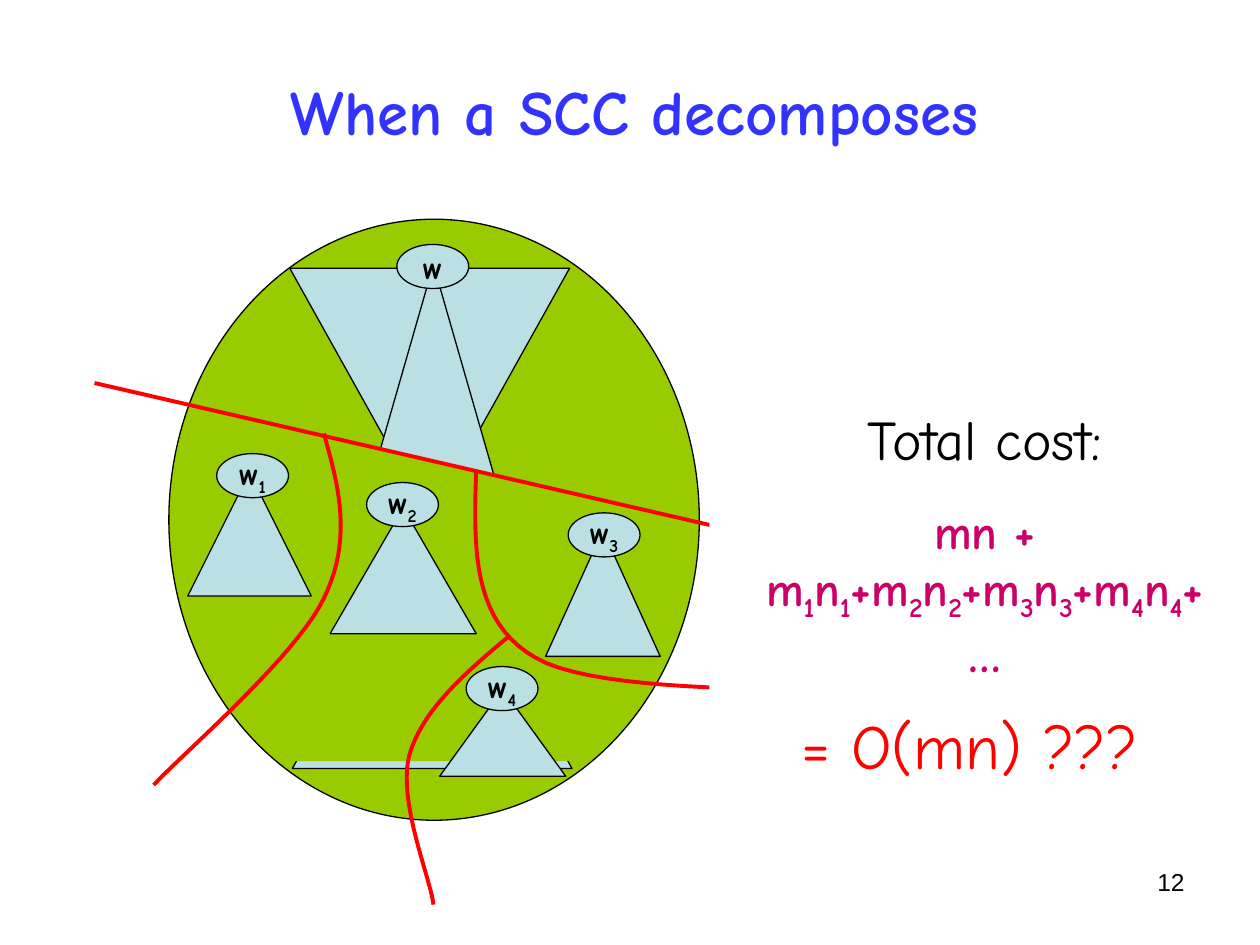
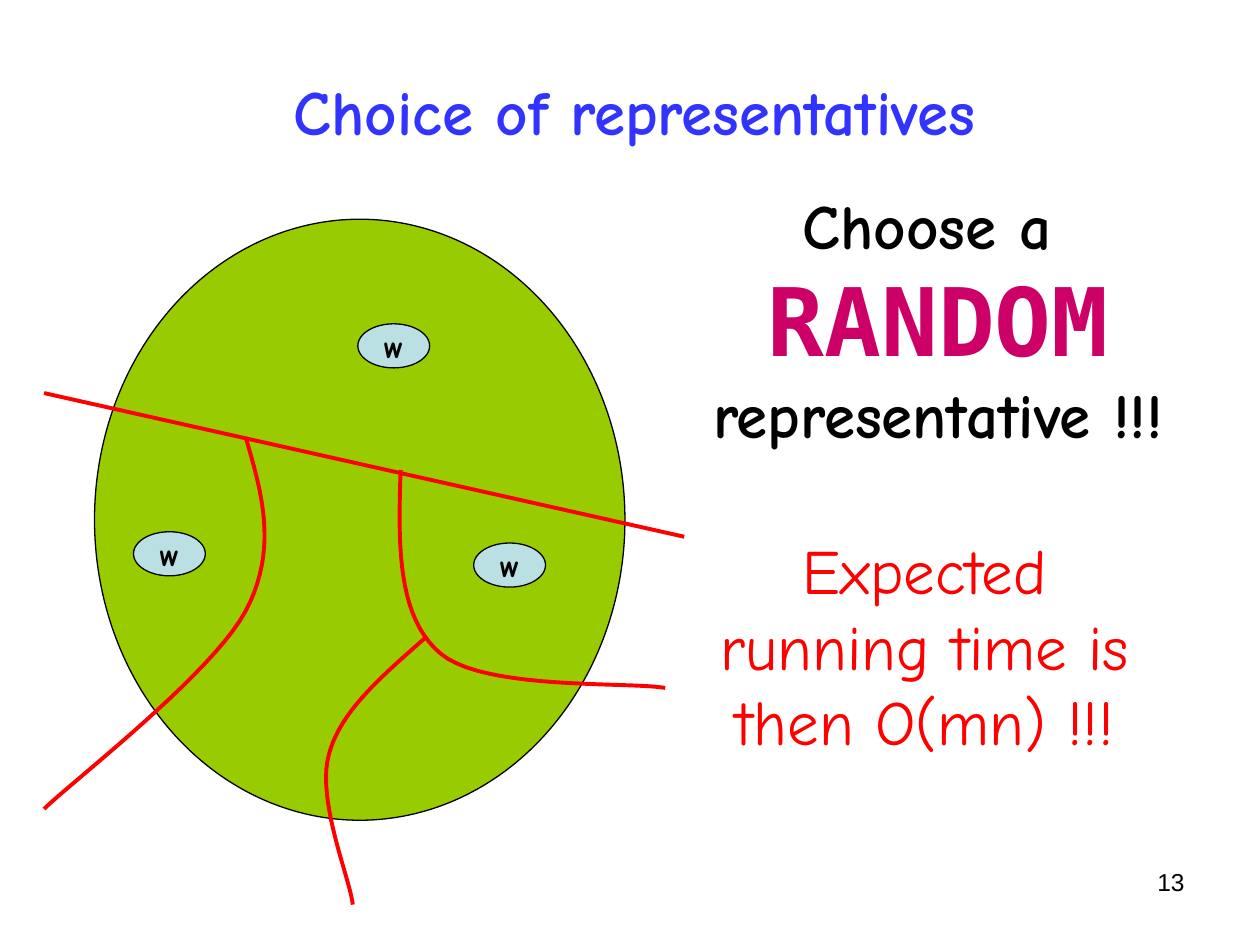
from dataclasses import dataclass

from lxml import etree
from pptx import Presentation
from pptx.dml.color import RGBColor
from pptx.enum.shapes import MSO_CONNECTOR, MSO_SHAPE
from pptx.enum.text import MSO_ANCHOR, PP_ALIGN
from pptx.oxml.ns import qn
from pptx.util import Inches, Pt

TRIANGLE = MSO_SHAPE.ISOSCELES_TRIANGLE
OVAL = MSO_SHAPE.OVAL
STRAIGHT = MSO_CONNECTOR.STRAIGHT
TOP, MIDDLE = MSO_ANCHOR.TOP, MSO_ANCHOR.MIDDLE
LEFT, CENTER, RIGHT = PP_ALIGN.LEFT, PP_ALIGN.CENTER, PP_ALIGN.RIGHT

BLUE = RGBColor(0x33, 0x33, 0xFF)
GREEN = RGBColor(0x99, 0xCC, 0x00)
PALE = RGBColor(0xBB, 0xE0, 0xE3)
RED = RGBColor(0xFF, 0x00, 0x00)
CRIMSON = RGBColor(0xCC, 0x00, 0x66)
BLACK = RGBColor(0x00, 0x00, 0x00)
WHITE = RGBColor(0xFF, 0xFF, 0xFF)

HAND = "Comic Neue"
MONO = "DejaVu Sans Mono"
SANS = "Arial"
VERTEX_WIDTH, VERTEX_HEIGHT = 0.57, 0.35
CUT_WIDTH = Pt(2.25)
CURVE_STEPS = 20

Point = tuple[float, float]


@dataclass(frozen=True)
class Box:
    left: float
    top: float
    width: float
    height: float

    def lengths(self):
        return [Inches(v) for v in (self.left, self.top, self.width, self.height)]


@dataclass(frozen=True)
class Vertex:
    label: str
    left: float
    top: float


@dataclass(frozen=True)
class Cut:
    points: tuple[Point, ...]


TITLE_BOX = Box(0.43, 0.25, 9.21, 1.25)
NUMBER_BOX = Box(7.17, 6.83, 2.33, 0.52)

ROOT = Vertex("w", 3.15, 1.94)
ROOT_TREES = ((Box(2.32, 4.11, 2.22, 1.99), False),
              (Box(2.3, 2.13, 2.22, 1.99), True),
              (Box(2.32, 2.1, 2.24, 3.9), False))
LOWER_REGION = ((2.05, 3.36), (2.24, 6.04), (4.64, 6.04), (4.84, 3.99))
PART_TREES = ((Vertex("w_1", 1.72, 3.6), Box(1.49, 3.75, 0.98, 0.98)),
              (Vertex("w_2", 2.91, 3.83), Box(2.62, 4.03, 1.16, 1)),
              (Vertex("w_3", 4.51, 4.07), Box(4.33, 4.21, 0.91, 1)),
              (Vertex("w_4", 3.7, 5.29), Box(3.49, 5.47, 1, 0.69)))
DECOMPOSITION_CUTS = (
    Cut(((2.57, 3.44), (2.69, 3.86), (2.8, 4.28), (2.57, 4.75),
         (2.35, 5.21), (1.43, 6), (1.22, 6.23))),
    Cut(((3.78, 3.73), (3.76, 4.33), (3.74, 4.93), (4.25, 5.22),
         (4.76, 5.52), (6.42, 5.45), (6.85, 5.5))),
    Cut(((4.04, 5.05), (3.69, 5.34), (3.35, 5.64), (3.25, 5.99),
         (3.15, 6.35), (3.42, 6.98), (3.44, 7.18))),
    Cut(((0.75, 3.04), (6.73, 4.42))),
)
REPRESENTATIVES = (Vertex("w", 2.84, 2.57), Vertex("w", 3.76, 4.31),
                   Vertex("w", 1.06, 4.22))
CHOICE_CUTS = (
    Cut(((1.95, 3.47), (2.08, 3.91), (2.21, 4.36), (1.95, 4.85),
         (1.68, 5.35), (0.6, 6.18), (0.35, 6.42))),
    Cut(((3.18, 3.73), (3.16, 4.32), (3.15, 4.9), (3.5, 5.19),
         (3.85, 5.48), (4.98, 5.41), (5.28, 5.46))),
    Cut(((3.39, 5.05), (3.05, 5.35), (2.7, 5.64), (2.61, 5.99),
         (2.51, 6.35), (2.78, 6.98), (2.8, 7.18))),
    Cut(((0.35, 3.12), (5.43, 4.26))),
)


def write(paragraph, text: str, *, size: float, color: RGBColor = BLACK,
          bold: bool = False, font: str = HAND) -> None:
    """Add text; an underscore lowers the character that follows it."""

    def add(piece: str, lowered: bool) -> None:
        if not piece:
            return
        run = paragraph.add_run()
        run.text = piece
        run.font.size = Pt(size)
        run.font.name = font
        run.font.bold = bold
        run.font.color.rgb = color
        if lowered:
            run._r.get_or_add_rPr().set("baseline", "-25000")

    for row, line in enumerate(text.split("\n")):
        if row:
            paragraph.add_line_break()
        first, *rest = line.split("_")
        add(first, False)
        for piece in rest:
            add(piece[:1], True)
            add(piece[1:], False)


def add_text_area(slide, box: Box, *, align=CENTER, anchor=TOP,
                  before: float = 0, fill: RGBColor | None = None):
    area = slide.shapes.add_textbox(*box.lengths())
    if fill is not None:
        area.fill.solid()
        area.fill.fore_color.rgb = fill
    frame = area.text_frame
    frame.word_wrap = True
    frame.vertical_anchor = anchor
    paragraph = frame.paragraphs[0]
    paragraph.alignment = align
    paragraph.space_before = Pt(before)
    return frame


def add_outlined(slide, kind, box: Box, fill: RGBColor):
    shape = slide.shapes.add_shape(kind, *box.lengths())
    shape.shadow.inherit = False
    shape.fill.solid()
    shape.fill.fore_color.rgb = fill
    shape.line.color.rgb = BLACK
    shape.line.width = Pt(0.75)
    return shape


def add_tree(slide, box: Box, inverted: bool = False) -> None:
    tree = add_outlined(slide, TRIANGLE, box, PALE)
    if inverted:
        tree._element.spPr.find(qn("a:xfrm")).set("flipV", "1")


def add_vertex(slide, vertex: Vertex) -> None:
    box = Box(vertex.left, vertex.top, VERTEX_WIDTH, VERTEX_HEIGHT)
    frame = add_outlined(slide, OVAL, box, PALE).text_frame
    frame.word_wrap = False
    frame.vertical_anchor = MIDDLE
    frame.paragraphs[0].alignment = CENTER
    write(frame.paragraphs[0], vertex.label, size=18, bold=True)


def add_outline(slide, points, closed: bool):
    start, *others = [(Inches(x), Inches(y)) for x, y in points]
    builder = slide.shapes.build_freeform(*start)
    builder.add_line_segments(others, close=closed)
    outline = builder.convert_to_shape()
    outline.shadow.inherit = False
    return outline


def curve_points(controls: tuple[Point, ...]) -> list[Point]:
    points = [controls[0]]
    for start in range(0, len(controls) - 1, 3):
        segment = controls[start:start + 4]
        for step in range(1, CURVE_STEPS + 1):
            t = step / CURVE_STEPS
            u = 1 - t
            weights = (u ** 3, 3 * u * u * t, 3 * u * t * t, t ** 3)
            points.append(tuple(sum(w * p[axis] for w, p in zip(weights, segment))
                                for axis in (0, 1)))
    return points


def add_cut(slide, cut: Cut) -> None:
    if len(cut.points) == 2:
        ends = [Inches(v) for point in cut.points for v in point]
        border = slide.shapes.add_connector(STRAIGHT, *ends)
        etree.SubElement(border._element.spPr, qn("a:effectLst"))
    else:
        border = add_outline(slide, curve_points(cut.points), closed=False)
        border.fill.background()
    border.line.color.rgb = RED
    border.line.width = CUT_WIDTH


def add_component_slide(deck, title: str, component_left: float):
    slide = deck.slides.add_slide(deck.slide_layouts[6])
    heading = add_text_area(slide, TITLE_BOX, anchor=MIDDLE)
    write(heading.paragraphs[0], title, size=36, color=BLUE, bold=True)
    add_outlined(slide, OVAL, Box(component_left, 1.74, 4.21, 4.77), GREEN)
    return slide


def add_number(slide, number: int) -> None:
    frame = add_text_area(slide, NUMBER_BOX, align=RIGHT)
    write(frame.paragraphs[0], str(number), size=14, font=SANS)


def build_decomposition(deck) -> None:
    slide = add_component_slide(deck, "When a SCC decomposes", 1.34)
    for box, inverted in ROOT_TREES:
        add_tree(slide, box, inverted)
    add_vertex(slide, ROOT)
    region = add_outline(slide, LOWER_REGION, closed=True)
    region.fill.solid()
    region.fill.fore_color.rgb = GREEN
    region.line.fill.background()
    for cut in DECOMPOSITION_CUTS:
        add_cut(slide, cut)
    for vertex, box in PART_TREES:
        add_tree(slide, box)
        add_vertex(slide, vertex)

    cost = add_text_area(slide, Box(5.63, 3.16, 4.37, 3.02), before=20, fill=WHITE)
    write(cost.paragraphs[0], "Total cost:", size=32)
    total = cost.add_paragraph()
    total.alignment = CENTER
    total.space_before = Pt(17.5)
    terms = "+".join(f"m_{i}n_{i}" for i in range(1, 5))
    write(total, f"mn +\n{terms}+\n", size=27, color=CRIMSON, bold=True)
    write(total, "…", size=28, color=CRIMSON, bold=True)

    bound = add_text_area(slide, Box(6.26, 5.56, 2.99, 0.7), align=LEFT, before=22.5)
    write(bound.paragraphs[0], "= O(mn) ???", size=36, color=RED)
    add_number(slide, 12)


def build_choice(deck) -> None:
    slide = add_component_slide(deck, "Choice of representatives", 0.75)
    for cut in CHOICE_CUTS:
        add_cut(slide, cut)
    for vertex in REPRESENTATIVES:
        add_vertex(slide, vertex)

    advice = add_text_area(slide, Box(5.12, 1.43, 4.65, 2.2), before=22.5, fill=WHITE)
    line = advice.paragraphs[0]
    write(line, "Choose a \n", size=36, bold=True)
    write(line, "RANDOM", size=54, color=CRIMSON, bold=True, font=MONO)
    write(line, " ", size=36, bold=True, font=MONO)
    write(line, "representative !!!", size=36, bold=True)

    result = add_text_area(slide, Box(5.51, 4.17, 3.66, 1.9), before=22.5)
    write(result.paragraphs[0], "Expected running time is then O(mn) !!!",
          size=36, color=RED)
    add_number(slide, 13)


def main() -> None:
    deck = Presentation()
    deck.slide_width = Inches(10)
    deck.slide_height = Inches(7.5)
    build_decomposition(deck)
    build_choice(deck)
    deck.save("out.pptx")


if __name__ == "__main__":
    main()
